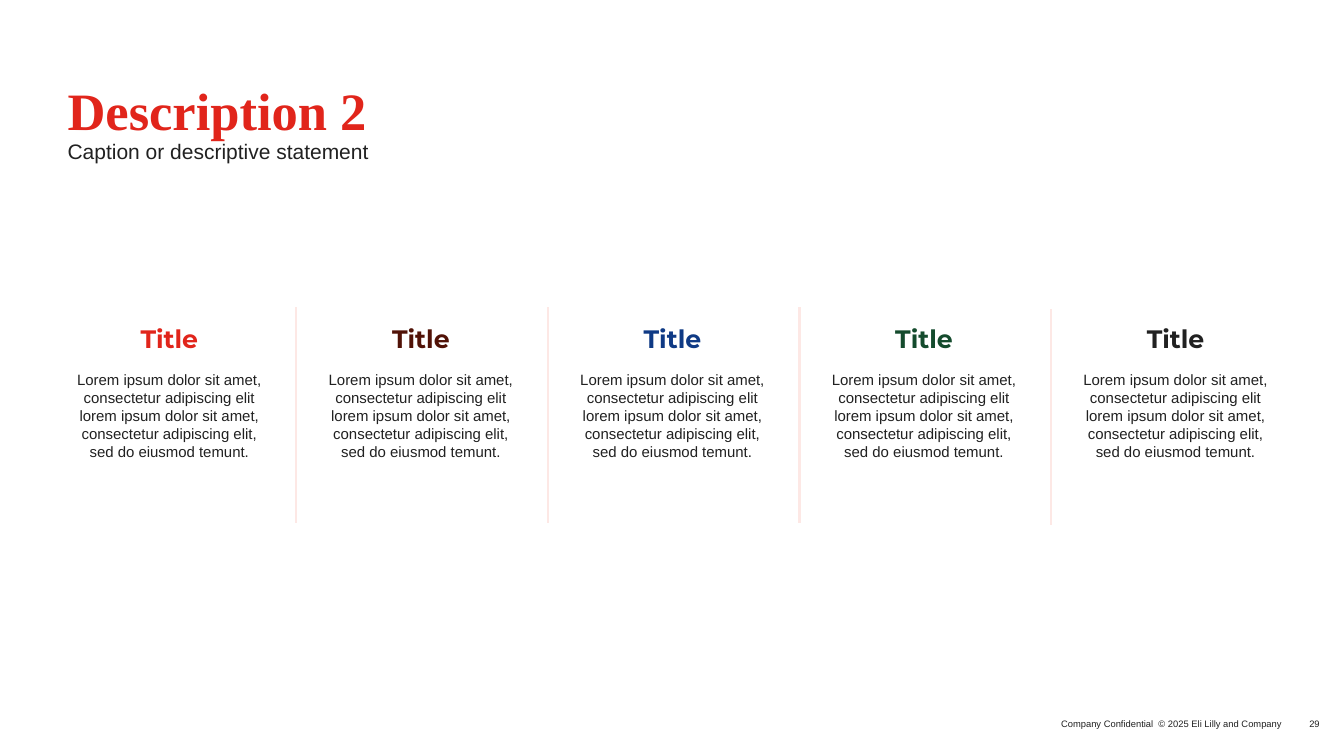
from copy import deepcopy

from pptx import Presentation
from pptx.dml.color import RGBColor
from pptx.enum.shapes import MSO_CONNECTOR
from pptx.enum.text import MSO_ANCHOR, PP_ALIGN
from pptx.oxml.ns import qn
from pptx.oxml.xmlchemy import OxmlElement
from pptx.util import Inches, Pt

LEFT, CENTER, RIGHT = PP_ALIGN.LEFT, PP_ALIGN.CENTER, PP_ALIGN.RIGHT
TOP, MIDDLE = MSO_ANCHOR.TOP, MSO_ANCHOR.MIDDLE
STRAIGHT = MSO_CONNECTOR.STRAIGHT

COLORS = {
    "red": "E1251B",
    "brown": "511207",
    "blue": "0F3A85",
    "green": "144B2D",
    "ink": "212121",
    "blush": "FDE8E5",
}
HEADS = ["red", "brown", "blue", "green", "ink"]
BODY = (
    "Lorem ipsum dolor sit amet,\nconsectetur adipiscing elit "
    "lorem ipsum dolor sit amet, consectetur adipiscing elit, "
    "sed do eiusmod temunt."
)
START, PITCH = 0.68, 2.495


def paint(name):
    return RGBColor.from_string(COLORS[name])


def add_box(slide, left, top, width, height, anchor=TOP, wrap=True):
    box = slide.shapes.add_textbox(
        Inches(left), Inches(top), Inches(width), Inches(height))
    frame = box.text_frame
    frame.margin_left = frame.margin_right = 0
    frame.margin_top = frame.margin_bottom = 0
    frame.vertical_anchor = anchor
    frame.word_wrap = wrap
    return frame


def write(para, text, size, font="Arial", color="ink", bold=False,
          align=LEFT, after=0, spacing=None):
    para.text = text
    para.alignment = align
    para.space_after = Pt(after)
    if spacing:
        para.line_spacing = spacing
    for run in para.runs:
        run.font.size = Pt(size)
        run.font.name = font
        run.font.bold = bold
        run.font.color.rgb = paint(color)
    # Line breaks take the format of the text around them
    for mark in para._p.findall(qn("a:br")):
        mark.append(deepcopy(para.runs[0]._r.rPr))


def add_column(slide, left, color):
    frame = add_box(slide, left, 3.21, 2, 2.18)
    write(frame.paragraphs[0], "Title", 18, font="Montserrat", color=color,
          bold=True, align=CENTER, after=12)
    write(frame.add_paragraph(), BODY, 10.7, align=CENTER, after=6)


def add_rule(slide, left, top):
    rule = slide.shapes.add_connector(
        STRAIGHT, Inches(left), Inches(top), Inches(left), Inches(top + 2.14))
    rule.line.color.rgb = paint("blush")
    rule.line.width = Pt(1.5)
    rule._element.spPr.append(OxmlElement("a:effectLst"))


def main():
    deck = Presentation()
    deck.slide_width, deck.slide_height = Inches(13.33), Inches(7.5)
    slide = deck.slides.add_slide(deck.slide_layouts[6])

    # Heading
    head = add_box(slide, 0.67, 0.89, 12.09, 0.44)
    write(head.paragraphs[0], "Description 2", 37.5, font="Times New Roman",
          color="red", bold=True, spacing=0.8)
    caption = add_box(slide, 0.67, 1.37, 12.09, 0.31)
    write(caption.paragraphs[0], "Caption or descriptive statement", 15)

    # Columns, with a rule between neighbours
    last = len(HEADS) - 1
    for i, color in enumerate(HEADS):
        left = START + i * PITCH
        add_column(slide, left, color)
        if i < last:
            add_rule(slide, left + 2.26, 3.07 if i == last - 1 else 3.05)

    # Footer
    note = add_box(slide, 10.05, 7.12, 2.67, 0.13, anchor=MIDDLE, wrap=False)
    write(note.paragraphs[0],
          "Company Confidential  © 2025 Eli Lilly and Company", 6.7,
          align=RIGHT)
    number = add_box(slide, 12.76, 7.12, 0.33, 0.13, anchor=MIDDLE)
    write(number.paragraphs[0], "29", 6.7, align=RIGHT)

    deck.save("out.pptx")


if __name__ == "__main__":
    main()
